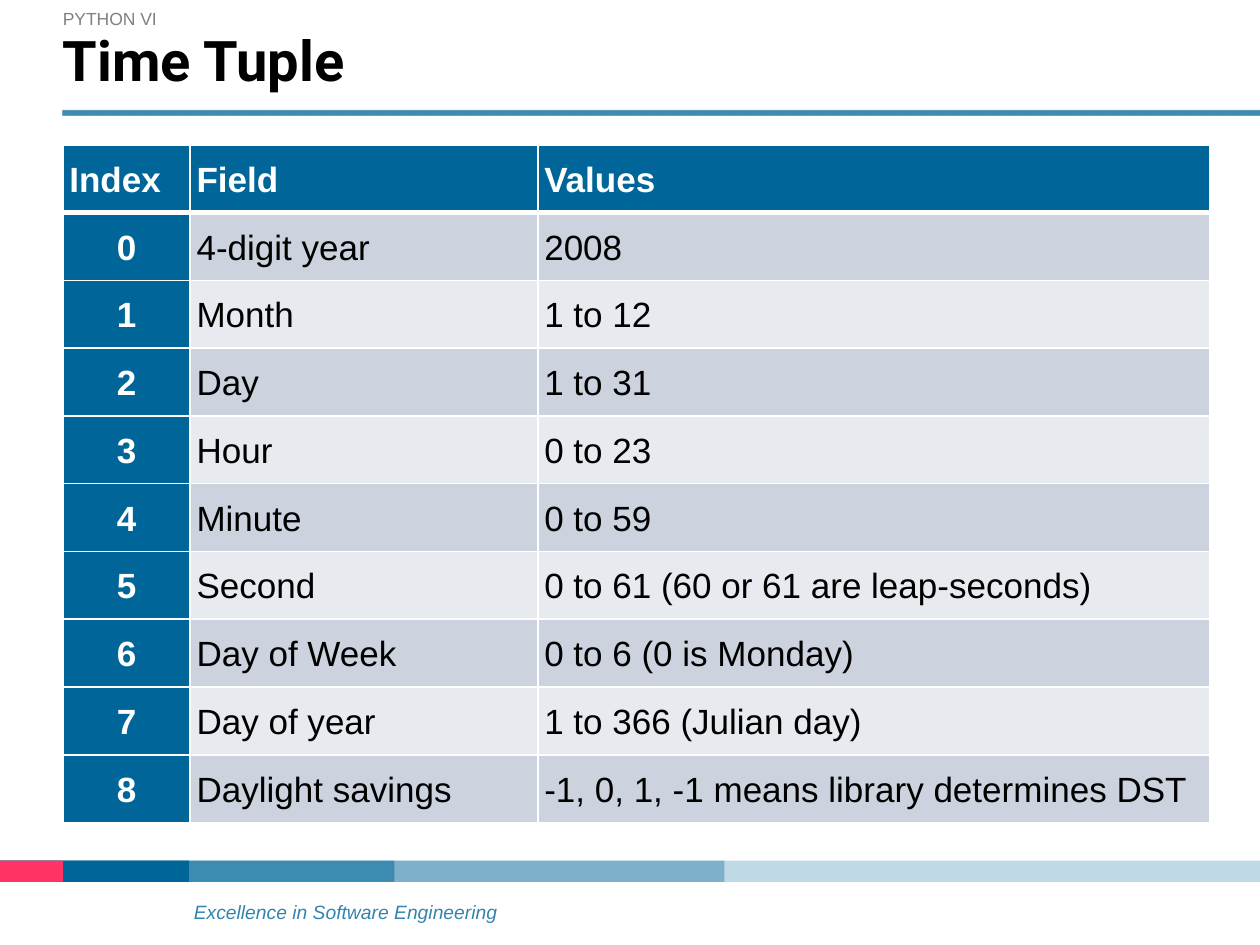
from lxml import etree
from pptx import Presentation
from pptx.dml.color import RGBColor
from pptx.enum.shapes import MSO_SHAPE as Shape
from pptx.enum.text import MSO_ANCHOR as Anchor, PP_ALIGN as Align
from pptx.oxml import parse_xml
from pptx.oxml.ns import nsdecls, qn
from pptx.util import Inches, Pt

SLIDE_WIDTH, SLIDE_HEIGHT = 10, 7.5
LEFT_EDGE = 0.5


def color(value):
    return RGBColor.from_string(value)


def set_alpha(element, percent):
    """Make the solid colour inside an element partly transparent."""
    rgb = next(element.iter(qn("a:srgbClr")))
    etree.SubElement(rgb, qn("a:alpha"), val=str(percent * 1000))


def write(frame, text, size=20, font="Arial", text_color="000000", bold=False,
          italic=False, align=Align.LEFT, spacing=None, gap=0, alpha=None):
    paragraph = frame.paragraphs[0]
    paragraph.alignment = align
    paragraph.line_spacing = spacing
    paragraph.space_before = paragraph.space_after = Pt(gap)
    run = paragraph.add_run()
    run.text = text
    run.font.size, run.font.name = Pt(size), font
    run.font.bold, run.font.italic = bold, italic
    run.font.color.rgb = color(text_color)
    if alpha:
        set_alpha(run.font._element, alpha)


class SlideBuilder:
    BLUE, PINK, WHITE, GRAY = "006699", "FF3366", "FFFFFF", "808080"
    ROW_BANDS = ("CCD3DE", "E7EAEF")
    CELL_MARGIN = 0.05
    THIN, THICK = 1, 3

    def __init__(self, slide):
        self.slide = slide

    def text(self, box, text, margins=(0.1, 0.05, 0.1, 0.05), anchor=Anchor.TOP,
             **style):
        shape = self.slide.shapes.add_textbox(*map(Inches, box))
        frame = shape.text_frame
        frame.word_wrap = True
        frame.vertical_anchor = anchor
        (frame.margin_left, frame.margin_top,
         frame.margin_right, frame.margin_bottom) = map(Inches, margins)
        write(frame, text, **style)
        return shape

    def bar(self, box, fill, alpha=None):
        shape = self.slide.shapes.add_shape(Shape.RECTANGLE, *map(Inches, box))
        shape.shadow.inherit = False
        shape.line.fill.background()
        shape.fill.solid()
        shape.fill.fore_color.rgb = color(fill)
        if alpha:
            set_alpha(shape._element.spPr, alpha)

    def gradient(self, shape, stops):
        """Fill a shape from the bottom up with (position, colour, alpha) stops."""
        stop_xml = "".join(
            f'<a:gs pos="{position * 1000}"><a:srgbClr val="{fill}">'
            f'<a:alpha val="{alpha * 1000}"/></a:srgbClr></a:gs>'
            for position, fill, alpha in stops)
        properties = shape._element.spPr
        properties.remove(properties.find(qn("a:noFill")))
        properties.append(parse_xml(
            f'<a:gradFill {nsdecls("a")}><a:gsLst>{stop_xml}</a:gsLst>'
            '<a:lin ang="16200000" scaled="0"/></a:gradFill>'))

    def borders(self, cell, **widths):
        """Draw white cell borders; the keywords L, R, T, B give widths in points."""
        properties = cell._tc.get_or_add_tcPr()
        for side, width in widths.items():
            properties.append(parse_xml(
                f'<a:ln{side} {nsdecls("a")} w="{Pt(width)}"><a:solidFill>'
                f'<a:srgbClr val="{self.WHITE}"/></a:solidFill></a:ln{side}>'))

    def cell(self, cell, text, fill, **style):
        cell.vertical_anchor = Anchor.MIDDLE
        cell.margin_left = cell.margin_right = Inches(self.CELL_MARGIN)
        cell.margin_top = cell.margin_bottom = Inches(self.CELL_MARGIN)
        cell.fill.solid()
        cell.fill.fore_color.rgb = color(fill)
        write(cell.text_frame, text, spacing=1.07, **style)

    def table(self, box, column_widths, rows):
        """Blue header row and index column; the other cells are banded."""
        table = self.slide.shapes.add_table(
            len(rows), len(column_widths), *map(Inches, box)).table
        table.horz_banding = False
        for column, width in zip(table.columns, column_widths):
            column.width = Inches(width)
        heading_style = dict(fill=self.BLUE, text_color=self.WHITE, bold=True)
        for row_number, row in enumerate(rows):
            is_header = row_number == 0
            band_style = dict(fill=self.ROW_BANDS[(row_number - 1) % 2])
            top = self.THICK if row_number == 1 else self.THIN
            bottom = self.THICK if is_header else self.THIN
            for column_number, text in enumerate(row):
                is_index = column_number == 0
                style = heading_style if is_header or is_index else band_style
                centred = is_index and not is_header
                cell = table.cell(row_number, column_number)
                self.borders(cell, L=self.THIN, R=self.THIN, T=top, B=bottom)
                self.cell(cell, text, **style,
                          align=Align.CENTER if centred else Align.LEFT)


presentation = Presentation()
presentation.slide_width = Inches(SLIDE_WIDTH)
presentation.slide_height = Inches(SLIDE_HEIGHT)
builder = SlideBuilder(presentation.slides.add_slide(presentation.slide_layouts[6]))

# Footer: slogan, then bars that overlap from the left edge, widest first
builder.text((1.44, 7.18, 2.86, 0.15), "Excellence in Software Engineering",
             margins=(0.1, 0, 0.1, 0), size=11, text_color=builder.BLUE, alpha=80,
             italic=True, spacing=0.8)
footer_bars = [
    (SLIDE_WIDTH, builder.BLUE, 25),
    (5.75, builder.BLUE, 34),
    (3.13, builder.BLUE, 50),
    (1.5, builder.BLUE, None),
    (LEFT_EDGE, builder.PINK, None),
]
for bar_width, bar_color, bar_alpha in footer_bars:
    builder.bar((0, 6.83, bar_width, 0.17), bar_color, bar_alpha)

# Heading: the bottom of the title's gradient forms the rule below it
builder.text((0.4, 0, 9.58, 0.3), "PYTHON VI", anchor=Anchor.MIDDLE,
             size=10, text_color=builder.GRAY, gap=6)
title = builder.text((LEFT_EDGE, 0.3, SLIDE_WIDTH - LEFT_EDGE, 0.62), "Time Tuple",
                     margins=(0, 0.05, 0.1, 0.15), size=32, font="Roboto",
                     bold=True, spacing=Pt(28))
builder.gradient(title, [(0, builder.BLUE, 75), (7, builder.BLUE, 75),
                         (8, builder.WHITE, 0)])

# Table of tuple fields, numbered from zero
fields = [
    ("4-digit year", "2008"),
    ("Month", "1 to 12"),
    ("Day", "1 to 31"),
    ("Hour", "0 to 23"),
    ("Minute", "0 to 59"),
    ("Second", "0 to 61 (60 or 61 are leap-seconds)"),
    ("Day of Week", "0 to 6 (0 is Monday)"),
    ("Day of year", "1 to 366 (Julian day)"),
    ("Daylight savings", "-1, 0, 1, -1 means library determines DST"),
]
rows = [("Index", "Field", "Values")]
rows += [(str(index), *field) for index, field in enumerate(fields)]
column_widths = (1.01, 2.76, 5.33)
builder.table((LEFT_EDGE, 1.15, sum(column_widths), 5.38), column_widths, rows)

presentation.save("out.pptx")
